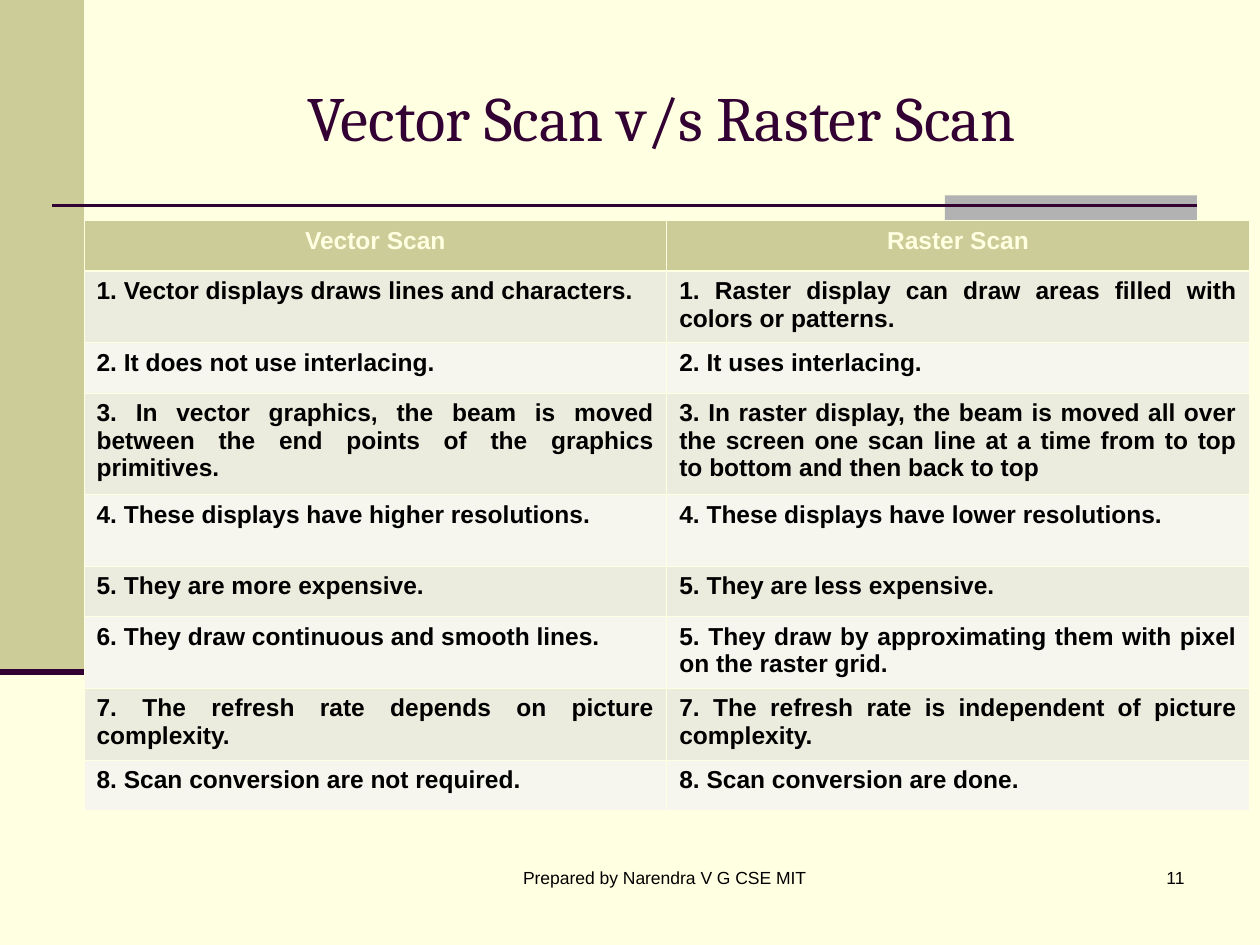
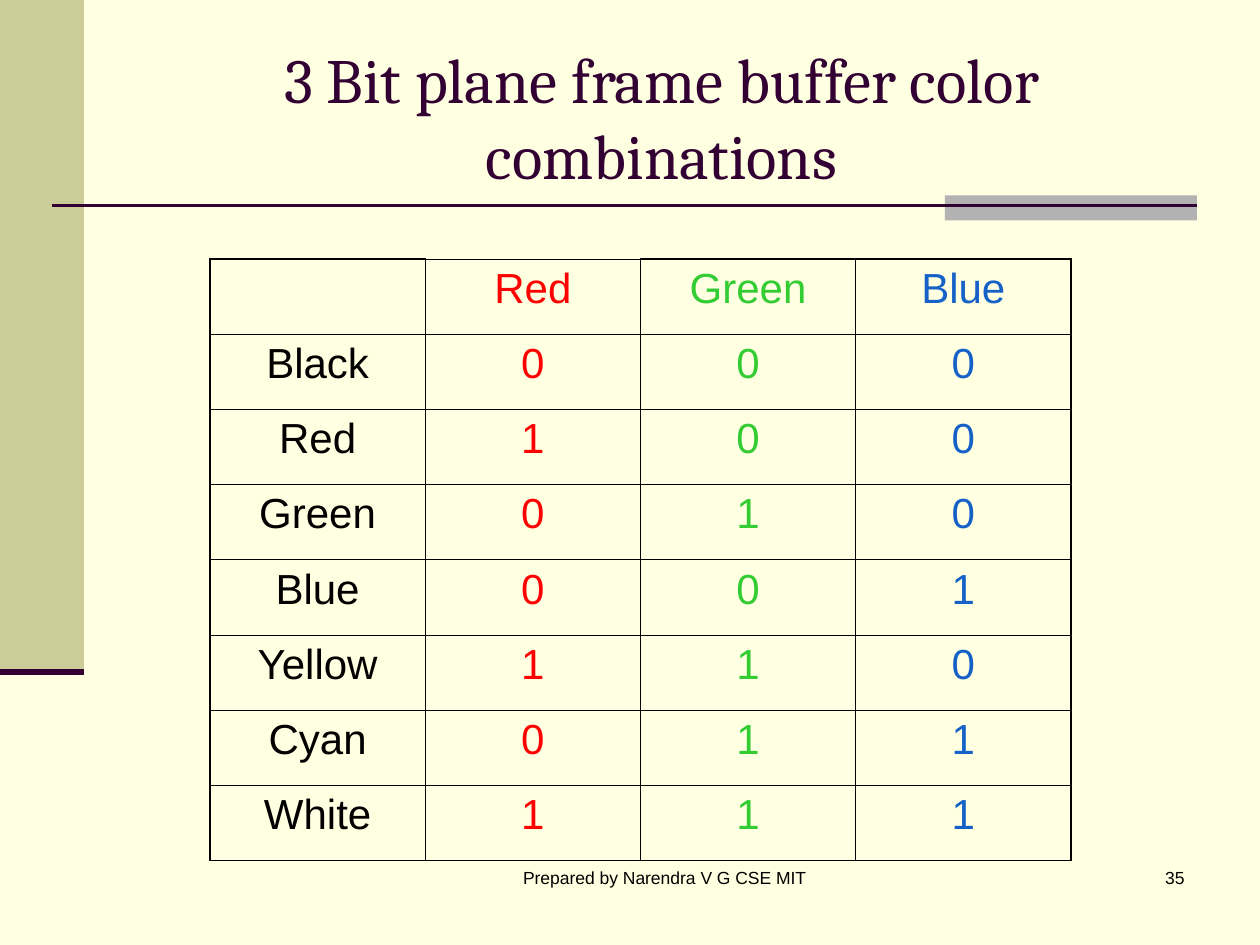
from lxml.etree import SubElement
from pptx import Presentation
from pptx.dml.color import RGBColor
from pptx.enum.shapes import MSO_CONNECTOR as Connector, MSO_SHAPE as Preset
from pptx.enum.text import MSO_ANCHOR as Anchor, MSO_AUTO_SIZE as AutoSize, PP_ALIGN as Align
from pptx.oxml.ns import qn
from pptx.util import Pt

CREAM, KHAKI, GRAY, PLUM, BLACK = "FFFFE1", "CCCC99", "B2B2B2", "330033", "000000"
STRIPES = ["F6F6EF", "ECECDE"]
CHANNEL_COLORS = [BLACK, "FF0000", "33CC33", "1561C7"]
FOOTER = "Prepared by Narendra V G CSE MIT "
THIN = 0.45

SCAN_ROWS = [
    ("Vector Scan", "Raster Scan"),
    ("1. Vector displays draws lines and characters.",
     "1. Raster display can draw areas filled with colors or patterns."),
    ("2. It does not use interlacing.", "2. It uses interlacing."),
    ("3. In vector graphics, the beam is moved between the end points of the graphics primitives.",
     "3. In raster display, the beam is moved all over the screen one scan line at a time "
     "from to top to bottom and then back to top"),
    ("4. These displays have higher resolutions.", "4. These displays have lower resolutions."),
    ("5. They are more expensive.", "5. They are less expensive."),
    ("6. They draw continuous and smooth lines.",
     "5. They draw by approximating them with pixel on the raster grid."),
    ("7. The refresh rate depends on picture complexity.",
     "7. The refresh rate is independent of picture complexity."),
    ("8. Scan conversion are not required.", "8. Scan conversion are done."),
]
ONE_LINE, TWO_LINES, THREE_LINES = 28.8, 41, 58
SCAN_HEIGHTS = [ONE_LINE, TWO_LINES, ONE_LINE, THREE_LINES, TWO_LINES,
                ONE_LINE, TWO_LINES, TWO_LINES, ONE_LINE]

COLOR_ROWS = [
    ("", "Red", "Green", "Blue"),
    ("Black", "0", "0", "0"),
    ("Red", "1", "0", "0"),
    ("Green", "0", "1", "0"),
    ("Blue", "0", "0", "1"),
    ("Yellow", "1", "1", "0"),
    ("Cyan", "0", "1", "1"),
    ("White", "1", "1", "1"),
]


def color(hex_value):
    return RGBColor.from_string(hex_value)


def write_text(frame, text, size=10, ink=BLACK, font="Arial", bold=False, align=Align.CENTER):
    para = frame.paragraphs[0]
    para.alignment = align
    span = para.add_run()
    span.text = text
    span.font.name = font
    span.font.size = Pt(size)
    span.font.bold = bold
    span.font.color.rgb = color(ink)


def set_borders(cell, ink, widths):
    properties = cell._tc.get_or_add_tcPr()
    for side in "LRTB":
        line = SubElement(properties, qn(f"a:ln{side}"), w=str(Pt(widths[side])))
        fill = SubElement(line, qn("a:solidFill"))
        SubElement(fill, qn("a:srgbClr"), val=ink)


class SlideBuilder:
    def __init__(self):
        self.deck = Presentation()
        self.deck.slide_width, self.deck.slide_height = Pt(720), Pt(540)
        background = self.deck.slide_master.background.fill
        background.solid()
        background.fore_color.rgb = color(CREAM)
        self.page = None

    def start(self, title, number):
        self.page = self.deck.slides.add_slide(self.deck.slide_layouts[5])
        self.title(title)
        self.block(0, 0, 48, 384, KHAKI)
        self.block(540, 111.6, 144, 14.4, GRAY)
        self.line(30, 684, 117.5, 1.5)
        self.line(0, 48, 384, 3.5)
        self.label(534, 150, str(number), Align.RIGHT)
        self.label(264, 234, FOOTER, Align.CENTER)

    def title(self, text):
        box = self.page.shapes.title
        box.left, box.top, box.width, box.height = Pt(72), Pt(21.6), Pt(612), Pt(90)
        frame = box.text_frame
        frame.auto_size = AutoSize.NONE
        frame.vertical_anchor = Anchor.MIDDLE
        write_text(frame, text, size=36, ink=PLUM, font="Cambria")

    def block(self, left, top, width, height, fill):
        box = self.page.shapes.add_shape(Preset.RECTANGLE, Pt(left), Pt(top), Pt(width), Pt(height))
        box.shadow.inherit = False
        box.fill.solid()
        box.fill.fore_color.rgb = color(fill)
        box.line.fill.background()

    def line(self, start, end, top, width):
        rule = self.page.shapes.add_connector(
            Connector.STRAIGHT, Pt(start), Pt(top), Pt(end), Pt(top))
        rule.line.color.rgb = color(PLUM)
        rule.line.width = Pt(width)
        SubElement(rule._element.spPr, qn("a:effectLst"))

    def label(self, left, width, text, align):
        box = self.page.shapes.add_textbox(Pt(left), Pt(492), Pt(width), Pt(36))
        box.text_frame.word_wrap = True
        write_text(box.text_frame, text, align=align)

    def table(self, left, top, column_width, heights, rows, format_cell):
        columns = len(rows[0])
        table = self.page.shapes.add_table(
            len(rows), columns, Pt(left), Pt(top),
            Pt(column_width * columns), Pt(sum(heights))).table
        table.first_row = table.horz_banding = False
        for column in table.columns:
            column.width = Pt(column_width)
        for row, (height, texts) in enumerate(zip(heights, rows)):
            table.rows[row].height = Pt(height)
            for column, text in enumerate(texts):
                format_cell(table.cell(row, column), row, column, text)


def format_scan_cell(cell, row, column, text):
    heavy = 1.47
    set_borders(cell, CREAM, {"L": THIN, "R": THIN,
                              "T": heavy if row == 1 else THIN,
                              "B": heavy if row == 0 else THIN})
    cell.fill.solid()
    cell.fill.fore_color.rgb = color(KHAKI if row == 0 else STRIPES[row % 2])
    write_text(cell.text_frame, text, size=14, bold=True,
               ink=CREAM if row == 0 else BLACK,
               align=Align.CENTER if row == 0 else Align.JUSTIFY)


def format_color_cell(cell, row, column, text):
    outer = {"L": column == 0, "R": column == 3,
             "T": row == 0 and column != 1, "B": row == len(COLOR_ROWS) - 1}
    set_borders(cell, BLACK, {side: 1.08 if edge else THIN for side, edge in outer.items()})
    cell.fill.background()
    if text:
        write_text(cell.text_frame, text, size=24, ink=CHANNEL_COLORS[column])


def main():
    builder = SlideBuilder()
    builder.start("Vector Scan v/s Raster Scan", 11)
    builder.table(48, 126, 333, SCAN_HEIGHTS, SCAN_ROWS, format_scan_cell)
    builder.start("3 Bit plane frame buffer color combinations", 35)
    builder.table(120, 148, 123, [43] * len(COLOR_ROWS), COLOR_ROWS, format_color_cell)
    builder.deck.save("out.pptx")


if __name__ == "__main__":
    main()
